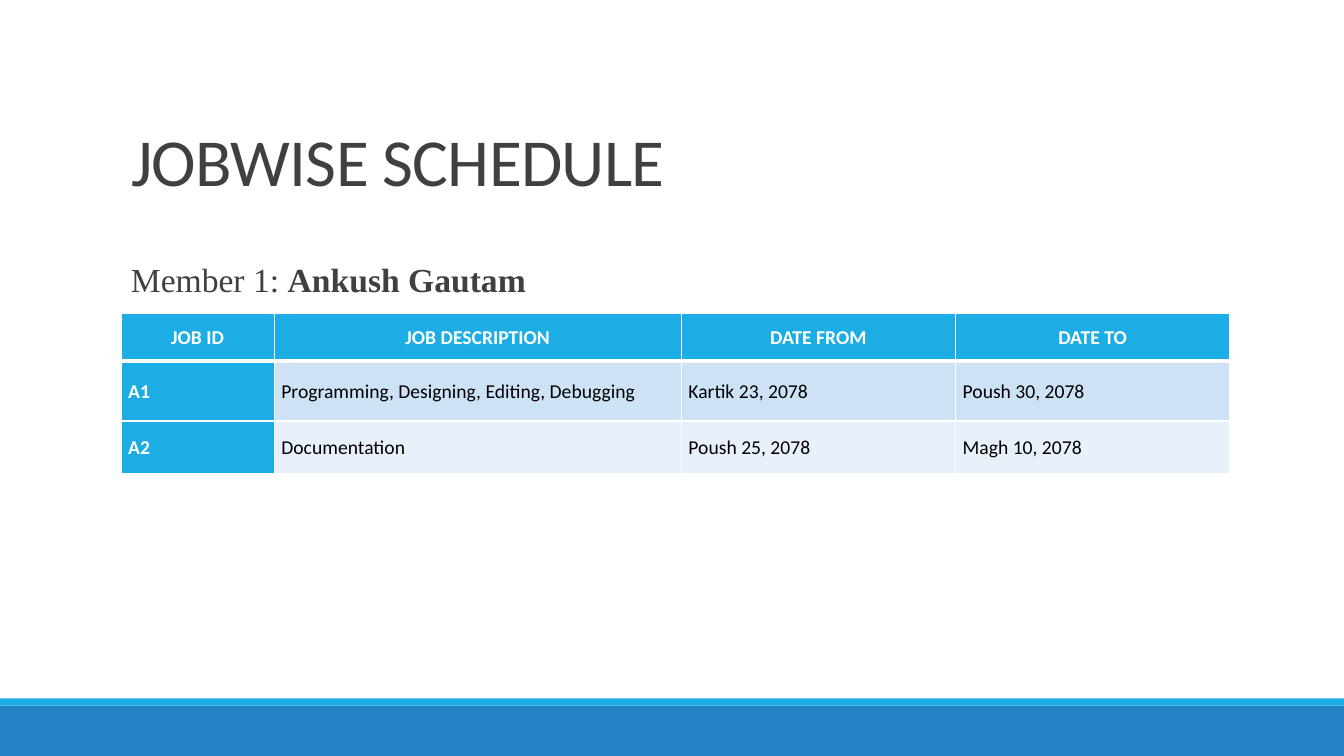
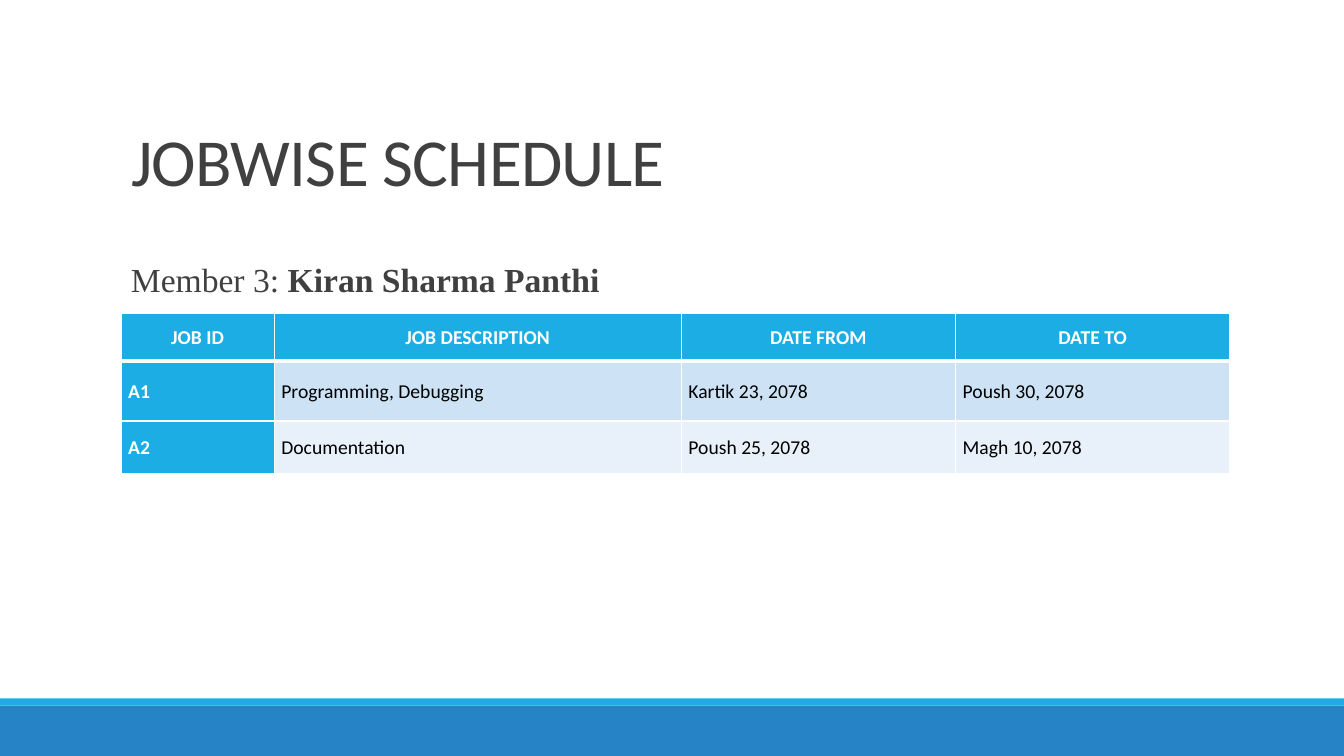
import pptx
import pptx.util
import pptx.dml.color
import pptx.enum.shapes
import pptx.enum.text
import pptx.oxml
import pptx.oxml.ns
import lxml.etree

Cm, Pt = pptx.util.Cm, pptx.util.Pt
ALIGN = pptx.enum.text.PP_ALIGN
ANCHOR = pptx.enum.text.MSO_ANCHOR

# Content
TITLE = "JOBWISE SCHEDULE"
HEADINGS = ["JOB ID", "JOB DESCRIPTION", "DATE FROM", "DATE TO"]
MEMBERS = [
    ("Member 1: ", "Ankush Gautam", [
        ("A1", "Programming, Designing, Editing, Debugging", "Kartik 23, 2078", "Poush 30, 2078"),
        ("A2", "Documentation", "Poush 25, 2078", "Magh 10, 2078"),
    ]),
    ("Member 3: ", "Kiran Sharma Panthi", [
        ("A1", "Programming, Debugging", "Kartik 23, 2078", "Poush 30, 2078"),
        ("A2", "Documentation", "Poush 25, 2078", "Magh 10, 2078"),
    ]),
]

# Shared look, lengths in centimetres
SKY, BLUE, GREY, WHITE, BLACK = "1CADE4", "2683C6", "404040", "FFFFFF", "000000"
ROW_FILLS = ["CDE3F5", "E8F1FA"]
SLIDE_W, SLIDE_H = 33.87, 19.05
LEFT, WIDTH = 3.05, 27.94
TITLE_TOP, TITLE_H = 1.14, 4.04
BODY_TOP, BODY_H = 5.18, 11.18
TABLE_TOP = 7.9
COLUMN_WIDTHS = [3.86, 10.26, 6.91, 6.91]
ROW_HEIGHTS = [1.19, 1.52, 1.32]
BANDS = [(17.78, 1.27, BLUE), (17.6, 0.18, SKY)]


def colour(value):
    return pptx.dml.color.RGBColor.from_string(value)


def write(paragraph, text, size=14, font="Calibri", color=GREY, bold=False,
          align=ALIGN.LEFT, line=1.0, spacing=None):
    paragraph.alignment = align
    paragraph.line_spacing = line
    run = paragraph.add_run()
    run.text = text
    run.font.size = Pt(size)
    run.font.name = font
    run.font.bold = bold
    run.font.color.rgb = colour(color)
    if spacing is not None:
        run.font._element.set("spc", str(round(spacing * 100)))


def place(shape, top, height):
    shape.left, shape.top = Cm(LEFT), Cm(top)
    shape.width, shape.height = Cm(WIDTH), Cm(height)


def prepare_layout(layout, slide):
    """Put the placeholders in position and the bands behind them."""
    title, body = layout.placeholders[0], layout.placeholders[1]
    place(title, TITLE_TOP, TITLE_H)
    place(body, BODY_TOP, BODY_H)
    title.text_frame.vertical_anchor = ANCHOR.BOTTOM
    frame = body.text_frame
    frame.margin_left = frame.margin_right = 0
    frame.margin_top = Cm(1.47)
    for index, (top, height, fill) in enumerate(BANDS):
        band = slide.shapes.add_shape(pptx.enum.shapes.MSO_SHAPE.RECTANGLE,
                                      0, Cm(top), Cm(SLIDE_W), Cm(height))
        band.shadow.inherit = False
        band.fill.solid()
        band.fill.fore_color.rgb = colour(fill)
        band.line.fill.background()
        layout.shapes._spTree.insert(2 + index, band._element)


def set_borders(cell, **widths):
    properties = cell._tc.get_or_add_tcPr()
    for side in ("L", "R", "T", "B"):
        properties.append(pptx.oxml.parse_xml(
            f'<a:ln{side} {pptx.oxml.ns.nsdecls("a")} w="{Pt(widths.get(side, 1))}">'
            f'<a:solidFill><a:srgbClr val="{WHITE}"/></a:solidFill></a:ln{side}>'))


def add_schedule(slide, jobs):
    rows = [HEADINGS] + jobs
    table = slide.shapes.add_table(len(rows), len(HEADINGS), Cm(LEFT), Cm(TABLE_TOP),
                                   Cm(WIDTH), Cm(sum(ROW_HEIGHTS))).table
    table.first_col = True
    for column, width in zip(table.columns, COLUMN_WIDTHS):
        column.width = Cm(width)
    for row, height in zip(table.rows, ROW_HEIGHTS):
        row.height = Cm(height)
    for r, row in enumerate(rows):
        for c, text in enumerate(row):
            cell = table.cell(r, c)
            heading = r == 0 or c == 0
            cell.vertical_anchor = ANCHOR.MIDDLE
            cell.margin_left = cell.margin_right = Cm(0.18)
            cell.margin_top = cell.margin_bottom = 0
            set_borders(cell, T=3 if r == 1 else 1, B=3 if r == 0 else 1)
            cell.fill.solid()
            cell.fill.fore_color.rgb = colour(SKY if heading else ROW_FILLS[(r - 1) % 2])
            write(cell.text_frame.paragraphs[0], text, bold=heading, line=1.07,
                  color=WHITE if heading else BLACK,
                  align=ALIGN.CENTER if r == 0 else ALIGN.LEFT)


def fill_slide(slide, label, name, jobs):
    # Title
    title = slide.shapes.title.text_frame
    title.auto_size = pptx.enum.text.MSO_AUTO_SIZE.NONE
    write(title.paragraphs[0], TITLE, size=48, line=0.85, spacing=-0.5)

    # Member line, without a bullet
    member = slide.placeholders[1].text_frame.paragraphs[0]
    for text, bold in ((label, False), (name, True)):
        write(member, text, size=24, font="Times New Roman", bold=bold, line=0.9)
    member.space_before = Pt(0)
    properties = member._p.get_or_add_pPr()
    properties.set("marL", str(Cm(0.25)))
    properties.set("indent", "0")
    lxml.etree.SubElement(properties, pptx.oxml.ns.qn("a:buNone"))

    add_schedule(slide, jobs)


def main():
    deck = pptx.Presentation()
    deck.slide_width, deck.slide_height = Cm(SLIDE_W), Cm(SLIDE_H)
    layout = deck.slide_layouts[1]
    slides = [deck.slides.add_slide(layout) for _ in MEMBERS]
    prepare_layout(layout, slides[0])
    for slide, member in zip(slides, MEMBERS):
        fill_slide(slide, *member)
    deck.save("out.pptx")


if __name__ == "__main__":
    main()
